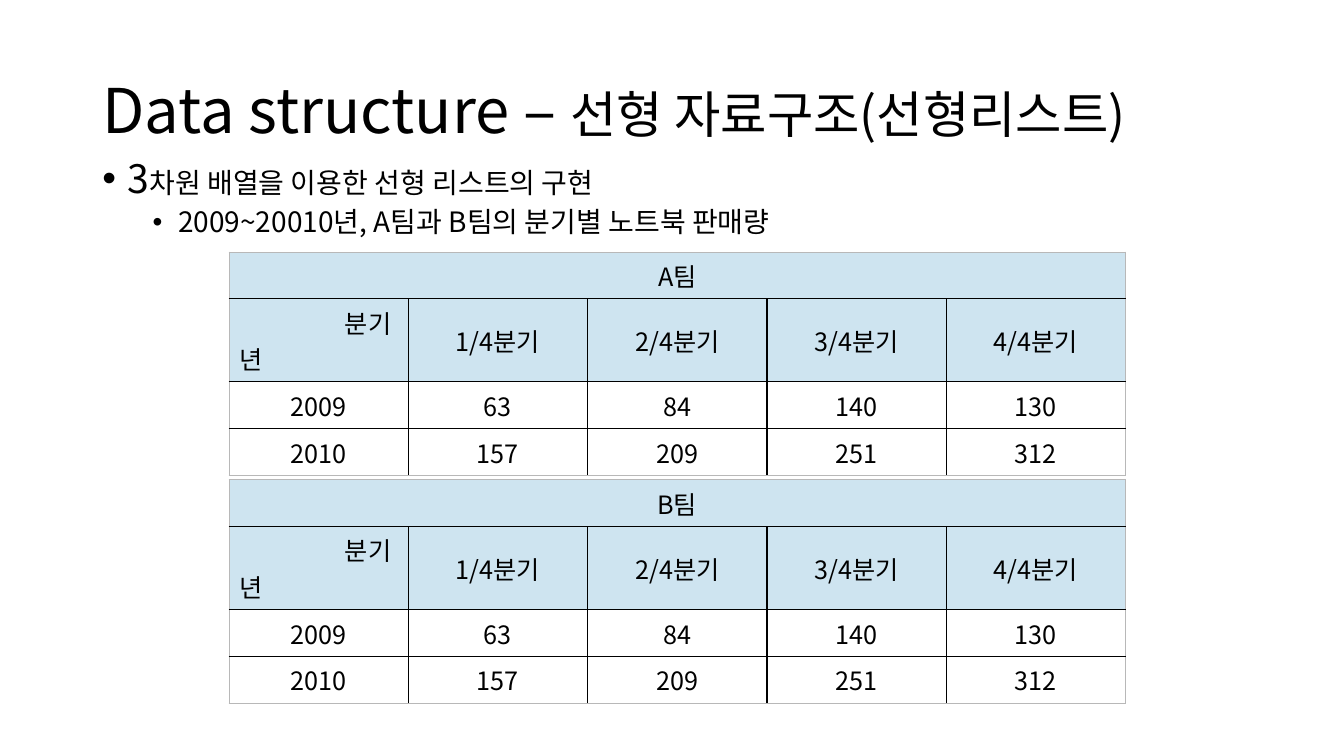
from lxml import etree
from pptx import Presentation
from pptx.dml.color import RGBColor
from pptx.enum.text import MSO_ANCHOR, PP_ALIGN
from pptx.oxml.ns import qn
from pptx.util import Cm, Pt

MID, TOP = MSO_ANCHOR.MIDDLE, MSO_ANCHOR.TOP
LEFT, CENTER = PP_ALIGN.LEFT, PP_ALIGN.CENTER

FONT = "Noto Sans CJK KR"
BLACK, GREY, WHITE, BLUE = "000000", "B8B8B8", "FFFFFF", "CEE4F0"

TITLE = [("Data structure – ", 44), ("선형 자료구조(선형리스트)", 36)]
POINTS = [
    (0.64, 10, [("3", 28), ("차원 배열을 이용한 선형 리스트의 구현", 20)]),
    (1.91, 5, [("2009~20010년, A팀과 B팀의 분기별 노트북 판매량", 20)]),
]
AXES = ("분기", "년")
TERMS = ["1/4분기", "2/4분기", "3/4분기", "4/4분기"]
SALES = [
    ["2009", "63", "84", "140", "130"],
    ["2010", "157", "209", "251", "312"],
]
TEAMS = [("A팀", 6.35), ("B팀", 12.09)]

TABLE_X, COL_W = 5.77, 4.52
ROW_H = [1.18, 2.09, 1.18, 1.18]
AXIS_X = 2.67


def color(code):
    return RGBColor.from_string(code)


def apply(item, form):
    for name, value in form.items():
        setattr(item, name, value)


def write(para, runs, **form):
    apply(para, form)
    for text, size in runs:
        run = para.add_run()
        run.text = text
        apply(run.font, {"name": FONT, "size": Pt(size)})
        run.font.color.rgb = color(BLACK)
        east = etree.SubElement(run.font._element, qn("a:ea"))
        east.set("typeface", FONT)


def indent(para, left, first=0):
    props = para._p.get_or_add_pPr()
    props.set("marL", str(Cm(left)))
    props.set("indent", str(Cm(first)))
    return props


def add_box(slide, top, height, anchor):
    box = slide.shapes.add_textbox(Cm(2.33), Cm(top), Cm(29.21), Cm(height))
    apply(box.text_frame, {"word_wrap": True, "vertical_anchor": anchor})
    return box.text_frame


def add_edge(cell, side, code, width):
    line = etree.SubElement(cell._tc.get_or_add_tcPr(), qn("a:ln" + side))
    line.set("w", str(Pt(width)))
    fill = etree.SubElement(line, qn("a:solidFill"))
    etree.SubElement(fill, qn("a:srgbClr")).set("val", code)


def add_table(slide, team, top):
    rows = [[team], [None] + TERMS] + SALES
    high, wide = len(rows), len(SALES[0])
    frame = slide.shapes.add_table(
        high, wide, Cm(TABLE_X), Cm(top), Cm(COL_W * wide), Cm(sum(ROW_H)))
    table = frame.table
    apply(table, {"first_row": False, "horz_banding": False})
    for col in table.columns:
        col.width = Cm(COL_W)
    for row, height in zip(table.rows, ROW_H):
        row.height = Cm(height)
    table.cell(0, 0).merge(table.cell(0, wide - 1))

    for r in range(high):
        for c in range(wide):
            cell = table.cell(r, c)
            inner = {"L": r > 0 and c > 0, "R": r > 0 and c < wide - 1,
                     "T": r > 0, "B": r < high - 1}
            for side, dark in inner.items():
                add_edge(cell, side, BLACK if dark else GREY, 1 if dark else 0.75)
            cell.fill.solid()
            cell.fill.fore_color.rgb = color(BLUE if r < 2 else WHITE)
            cell.vertical_anchor = MID
        for c, text in enumerate(rows[r]):
            if text:
                para = table.cell(r, c).text_frame.paragraphs[0]
                write(para, [(text, 18)], alignment=CENTER)

    frame = table.cell(1, 0).text_frame
    for i, text in enumerate(AXES):
        para = frame.add_paragraph() if i else frame.paragraphs[0]
        write(para, [(text, 18)], alignment=LEFT)
        indent(para, 0 if i else AXIS_X)


def main():
    deck = Presentation()
    apply(deck, {"slide_width": Cm(33.87), "slide_height": Cm(19.05)})
    slide = deck.slides.add_slide(deck.slide_layouts[6])

    title = add_box(slide, 1.01, 3.68, MID)
    write(title.paragraphs[0], TITLE, line_spacing=0.9)

    body = add_box(slide, 3.89, 12.09, TOP)
    for i, (left, gap, runs) in enumerate(POINTS):
        para = body.add_paragraph() if i else body.paragraphs[0]
        write(para, runs, line_spacing=0.9, space_before=Pt(gap))
        props = indent(para, left, -0.64)
        etree.SubElement(props, qn("a:buFont")).set("typeface", "Arial")
        etree.SubElement(props, qn("a:buChar")).set("char", "•")

    for team, top in TEAMS:
        add_table(slide, team, top)
    deck.save("out.pptx")


if __name__ == "__main__":
    main()
